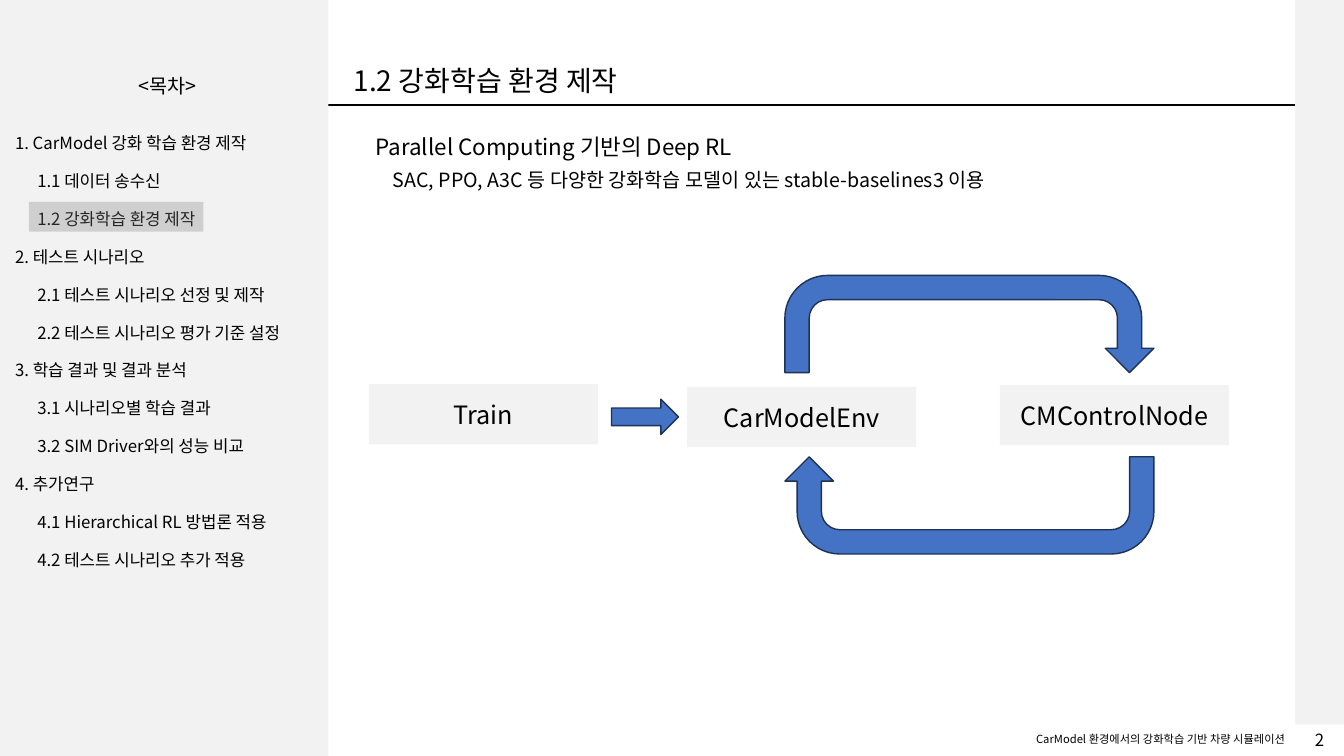
from dataclasses import dataclass
from typing import Optional

import pptx
import pptx.dml.color
import pptx.enum.shapes
import pptx.enum.text
import pptx.oxml
import pptx.oxml.ns
import pptx.shapes.autoshape
import pptx.slide
import pptx.text.text
import pptx.util

Cm = pptx.util.Cm
Kind = pptx.enum.shapes.MSO_SHAPE
Align = pptx.enum.text.PP_ALIGN
Anchor = pptx.enum.text.MSO_ANCHOR


@dataclass(frozen=True)
class Theme:
    font: str = "Noto Sans CJK KR"
    ink: str = "000000"
    panel: str = "F2F2F2"
    marker: str = "808080"
    arrow: str = "4472C4"
    arrow_edge: str = "1E3256"
    title: int = 20
    node: int = 18
    heading: int = 16
    detail: int = 14
    entry: int = 12
    footer: int = 8


@dataclass(frozen=True)
class Box:
    """Position and size in centimetres."""
    left: float
    top: float
    width: float
    height: float


@dataclass(frozen=True)
class Label:
    text: str
    box: Box
    size: int
    align: Align = Align.LEFT


@dataclass(frozen=True)
class Entry:
    text: str
    level: int


@dataclass(frozen=True)
class Node:
    text: str
    left: float
    top: float


@dataclass(frozen=True)
class Arrow:
    kind: Kind
    box: Box
    rotation: int = 0
    adjustments: tuple[float, ...] = ()


THEME = Theme()
SLIDE_WIDTH, SLIDE_HEIGHT = 33.87, 19.05
SIDEBAR_WIDTH = 8.28
RIGHT_STRIP = Box(32.64, 0, 1.23, 18.26)
RULE_TOP = 2.64

ENTRIES = [
    Entry("1. CarModel 강화 학습 환경 제작", 0),
    Entry("1.1 데이터 송수신", 1),
    Entry("1.2 강화학습 환경 제작", 1),
    Entry("2. 테스트 시나리오", 0),
    Entry("2.1 테스트 시나리오 선정 및 제작", 1),
    Entry("2.2 테스트 시나리오 평가 기준 설정", 1),
    Entry("3. 학습 결과 및 결과 분석", 0),
    Entry("3.1 시나리오별 학습 결과", 1),
    Entry("3.2 SIM Driver와의 성능 비교", 1),
    Entry("4. 추가연구", 0),
    Entry("4.1 Hierarchical RL 방법론 적용", 1),
    Entry("4.2 테스트 시나리오 추가 적용", 1),
]
FIRST_ENTRY_TOP, LAST_ENTRY_TOP = 3.23, 13.72
ENTRY_LEFT, ENTRY_INDENT = 0.13, 0.56
CURRENT_ENTRY = Box(0.73, 5.09, 4.4, 0.75)

LABELS = [
    Label("<목차>", Box(0.13, 1.75, 8.18, 0.86), THEME.detail, Align.CENTER),
    Label("1.2 강화학습 환경 제작", Box(8.66, 1.47, 15.85, 1.11), THEME.title),
    Label("Parallel Computing 기반의 Deep RL", Box(9.22, 3.23, 12.7, 0.94), THEME.heading),
    Label("2", Box(32.64, 18.26, 1.23, 0.76), THEME.entry, Align.CENTER),
    Label("CarModel 환경에서의 강화학습 기반 차량 시뮬레이션",
          Box(22.53, 18.34, 10.11, 0.61), THEME.footer, Align.RIGHT),
]
DETAIL = Label("SAC, PPO, A3C 등 다양한 강화학습 모델이 있는 stable-baselines3 이용",
               Box(9.22, 4.17, 15.95, 0.89), THEME.detail)
DETAIL_INDENT = 0.43

NODE_WIDTH, NODE_HEIGHT = 5.77, 1.52
NODES = [
    Node("Train", 9.3, 9.68),
    Node("CarModelEnv", 17.32, 9.75),
    Node("CMControlNode", 25.2, 9.7),
]
TURN_SHAPE = (0.25, 0.25, 0.25, 0.44, 1)
ARROWS = [
    Arrow(Kind.RIGHT_ARROW, Box(15.41, 10.06, 1.69, 0.89)),
    Arrow(Kind.U_TURN_ARROW, Box(19.78, 6.94, 9.3, 2.45), 0, TURN_SHAPE),
    Arrow(Kind.U_TURN_ARROW, Box(19.78, 11.51, 9.3, 2.45), 180, TURN_SHAPE),
]


def rgb(value: str) -> pptx.dml.color.RGBColor:
    return pptx.dml.color.RGBColor.from_string(value)


def place(box: Box) -> tuple[int, int, int, int]:
    return Cm(box.left), Cm(box.top), Cm(box.width), Cm(box.height)


def write(frame: pptx.text.text.TextFrame, text: str, size: int,
          align: Align) -> pptx.text.text._Paragraph:
    frame.word_wrap = True
    frame.text = text
    paragraph = frame.paragraphs[0]
    paragraph.alignment = align
    for run in paragraph.runs:
        run.font.size = pptx.util.Pt(size)
        run.font.name = THEME.font
        run.font.color.rgb = rgb(THEME.ink)
        east_asian = pptx.oxml.parse_xml(
            f'<a:ea {pptx.oxml.ns.nsdecls("a")} typeface="{THEME.font}"/>')
        run.font._element.find(pptx.oxml.ns.qn("a:latin")).addnext(east_asian)
    return paragraph


def add_label(slide: pptx.slide.Slide, label: Label) -> pptx.text.text._Paragraph:
    frame = slide.shapes.add_textbox(*place(label.box)).text_frame
    return write(frame, label.text, label.size, label.align)


def add_filled(slide: pptx.slide.Slide, kind: Kind, box: Box, fill: str,
               edge: Optional[str] = None) -> pptx.shapes.autoshape.Shape:
    shape = slide.shapes.add_shape(kind, *place(box))
    shape.shadow.inherit = False
    shape.fill.solid()
    shape.fill.fore_color.rgb = rgb(fill)
    if edge:
        shape.line.color.rgb = rgb(edge)
        shape.line.width = pptx.util.Pt(1)
    else:
        shape.line.fill.background()
    return shape


def add_title_rule(slide: pptx.slide.Slide) -> None:
    rule = slide.shapes.add_connector(
        pptx.enum.shapes.MSO_CONNECTOR.STRAIGHT,
        Cm(0), Cm(RULE_TOP), Cm(SLIDE_WIDTH), Cm(RULE_TOP))
    rule.line.color.rgb = rgb(THEME.ink)
    rule.line.width = pptx.util.Pt(1.5)
    rule._element.spPr.append(
        pptx.oxml.parse_xml(f'<a:effectLst {pptx.oxml.ns.nsdecls("a")}/>'))


def add_contents(slide: pptx.slide.Slide) -> None:
    pitch = (LAST_ENTRY_TOP - FIRST_ENTRY_TOP) / (len(ENTRIES) - 1)
    for row, entry in enumerate(ENTRIES):
        left = ENTRY_LEFT + entry.level * ENTRY_INDENT
        box = Box(left, FIRST_ENTRY_TOP + row * pitch, SIDEBAR_WIDTH - left, 0.76)
        add_label(slide, Label(entry.text, box, THEME.entry))
    marker = add_filled(slide, Kind.RECTANGLE, CURRENT_ENTRY, THEME.marker)
    color = marker._element.spPr.find(".//" + pptx.oxml.ns.qn("a:srgbClr"))
    color.append(pptx.oxml.parse_xml(
        f'<a:alpha {pptx.oxml.ns.nsdecls("a")} val="30000"/>'))


def add_detail(slide: pptx.slide.Slide) -> None:
    paragraph = add_label(slide, DETAIL)
    paragraph.line_spacing = 0.9
    paragraph.space_before = pptx.util.Pt(10)
    paragraph._p.get_or_add_pPr().set("indent", str(Cm(DETAIL_INDENT)))


def add_diagram(slide: pptx.slide.Slide) -> None:
    for node in NODES:
        box = Box(node.left, node.top, NODE_WIDTH, NODE_HEIGHT)
        frame = add_filled(slide, Kind.RECTANGLE, box, THEME.panel).text_frame
        frame.vertical_anchor = Anchor.MIDDLE
        write(frame, node.text, THEME.node, Align.CENTER)
    for arrow in ARROWS:
        shape = add_filled(slide, arrow.kind, arrow.box, THEME.arrow, THEME.arrow_edge)
        shape.rotation = arrow.rotation
        for index, value in enumerate(arrow.adjustments):
            shape.adjustments[index] = value


def main() -> None:
    deck = pptx.Presentation()
    deck.slide_width, deck.slide_height = Cm(SLIDE_WIDTH), Cm(SLIDE_HEIGHT)
    slide = deck.slides.add_slide(deck.slide_layouts[6])
    add_title_rule(slide)
    for panel in (Box(0, 0, SIDEBAR_WIDTH, SLIDE_HEIGHT), RIGHT_STRIP):
        add_filled(slide, Kind.RECTANGLE, panel, THEME.panel)
    for label in LABELS:
        add_label(slide, label)
    add_contents(slide)
    add_detail(slide)
    add_diagram(slide)
    deck.save("out.pptx")


if __name__ == "__main__":
    main()
